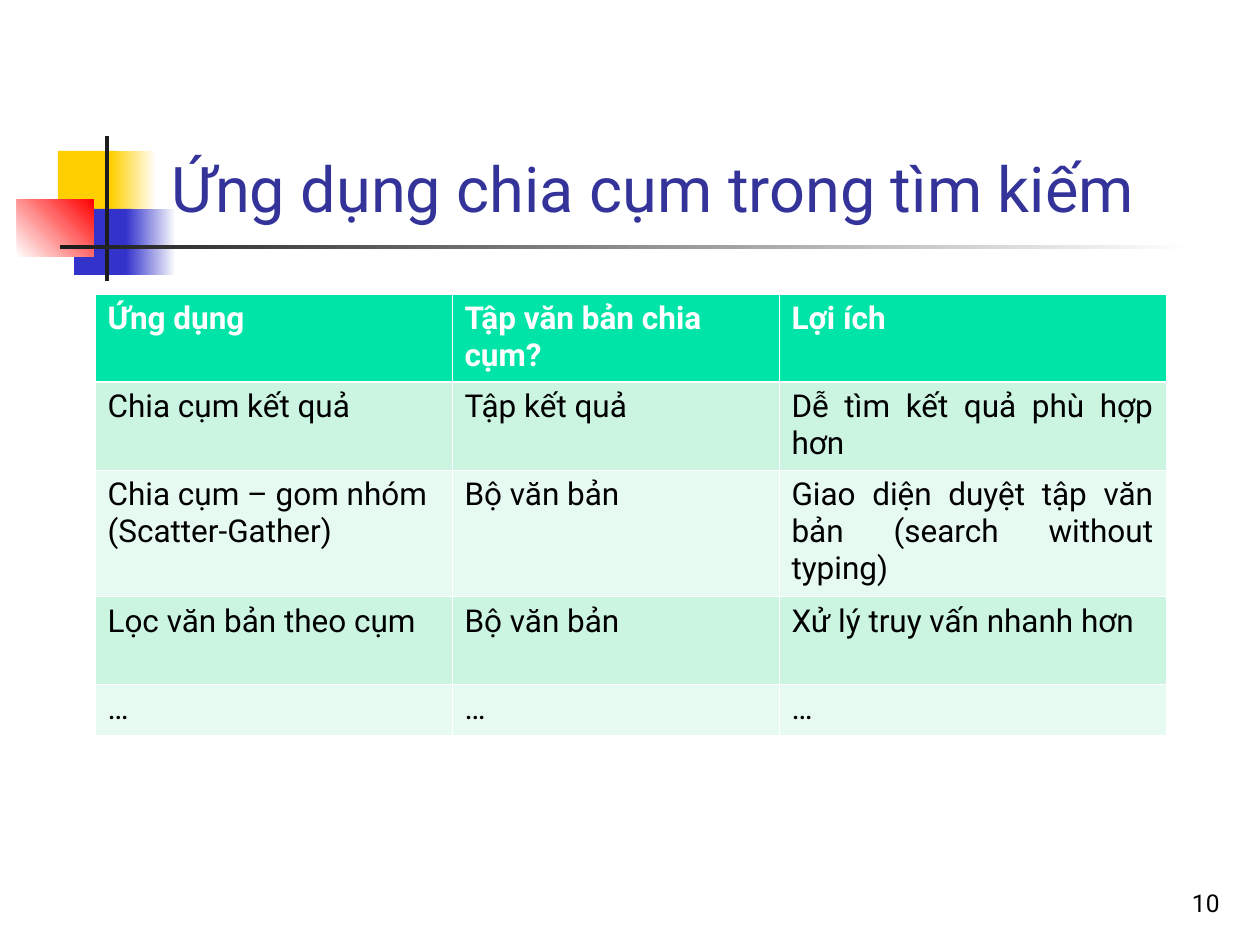
"""Build the slide on applications of clustering in search."""
from dataclasses import dataclass

from lxml import etree
from pptx import Presentation
from pptx.dml.color import RGBColor
from pptx.enum.shapes import MSO_SHAPE
from pptx.enum.text import MSO_ANCHOR, PP_ALIGN
from pptx.oxml.ns import qn
from pptx.util import Emu, Pt

RECTANGLE = MSO_SHAPE.RECTANGLE
BOTTOM = MSO_ANCHOR.BOTTOM
LEFT, RIGHT, JUSTIFY = PP_ALIGN.LEFT, PP_ALIGN.RIGHT, PP_ALIGN.JUSTIFY
PX = 914400 // 126


@dataclass(frozen=True)
class Theme:
    font: str = "Roboto"
    title_size: int = 36
    table_size: int = 18
    number_size: int = 14
    thin: float = 0.45
    thick: float = 1.47
    title: str = "333399"
    ink: str = "000000"
    white: str = "FFFFFF"
    yellow: str = "FFCF01"
    blue: str = "3333CC"
    red: str = "FF0000"
    rule: str = "1C1C1C"
    header: str = "00E4A8"
    bands: tuple = ("CBF5E1", "E7FAF1")


class SlideBuilder:
    def __init__(self, page, theme):
        self.page = page
        self.theme = theme

    def place(self, *lengths):
        return [Emu(length * PX) for length in lengths]

    def block(self, left, top, width, height, *colors, angle=0):
        shape = self.page.shapes.add_shape(RECTANGLE, *self.place(left, top, width, height))
        shape.shadow.inherit = False
        shape.line.fill.background()
        if len(colors) == 1:
            shape.fill.solid()
            shape.fill.fore_color.rgb = RGBColor.from_string(colors[0])
            return
        shape.fill.gradient()
        shape.fill.gradient_angle = angle
        for stop, color in zip(shape.fill.gradient_stops, colors):
            stop.color.rgb = RGBColor.from_string(color)

    def set_text(self, frame, words, size, color, align=LEFT, bold=False):
        frame.text = words
        frame.word_wrap = True
        for para in frame.paragraphs:
            para.alignment = align
            for span in para.runs:
                span.font.name = self.theme.font
                span.font.size = Pt(size)
                span.font.bold = bold
                span.font.color.rgb = RGBColor.from_string(color)

    def text(self, left, top, width, height, words, size, color, align=LEFT):
        box = self.page.shapes.add_textbox(*self.place(left, top, width, height))
        box.text_frame.vertical_anchor = BOTTOM
        self.set_text(box.text_frame, words, size, color, align)

    def border(self, cell, side, points):
        properties = cell._tc.get_or_add_tcPr()
        line = etree.SubElement(properties, qn(f"a:ln{side}"), w=str(int(Pt(points))))
        fill = etree.SubElement(line, qn("a:solidFill"))
        etree.SubElement(fill, qn("a:srgbClr"), val=self.theme.white)

    def table(self, left, top, widths, heights, rows, justified):
        theme = self.theme
        size = self.place(left, top, sum(widths), sum(heights))
        grid = self.page.shapes.add_table(len(rows), len(widths), *size).table
        for column, width in zip(grid.columns, widths):
            column.width = Emu(width * PX)
        for row, height in zip(grid.rows, heights):
            row.height = Emu(height * PX)
        for r, row in enumerate(rows):
            heading = r == 0
            fill = theme.header if heading else theme.bands[(r - 1) % 2]
            color = theme.white if heading else theme.ink
            thick_side = {0: "B", 1: "T"}.get(r)
            for c, words in enumerate(row):
                cell = grid.cell(r, c)
                for side in "LRTB":
                    self.border(cell, side, theme.thick if side == thick_side else theme.thin)
                cell.fill.solid()
                cell.fill.fore_color.rgb = RGBColor.from_string(fill)
                align = JUSTIFY if (r, c) in justified else LEFT
                self.set_text(cell.text_frame, words, theme.table_size, color, align, heading)


ROWS = [
    ("Ứng dụng", "Tập văn bản chia cụm?", "Lợi ích"),
    ("Chia cụm kết quả", "Tập kết quả", "Dễ tìm kết quả phù hợp hơn"),
    ("Chia cụm – gom nhóm (Scatter-Gather)", "Bộ văn bản",
     "Giao diện duyệt tập văn bản (search without typing)"),
    ("Lọc văn bản theo cụm", "Bộ văn bản", "Xử lý truy vấn nhanh hơn"),
    ("…", "…", "…"),
]


def main():
    deck = Presentation()
    deck.slide_width, deck.slide_height = Emu(1260 * PX), Emu(945 * PX)
    theme = Theme()
    slide = SlideBuilder(deck.slides.add_slide(deck.slide_layouts[6]), theme)

    slide.block(58, 151, 60, 66, theme.yellow)
    slide.block(111, 151, 45, 66, theme.yellow, theme.white)
    slide.block(74, 209, 58, 66, theme.blue)
    slide.block(126, 209, 50, 66, theme.blue, theme.white)
    slide.block(17, 199, 77, 58, theme.white, theme.red, angle=45)
    slide.block(105, 136, 4, 145, theme.rule)
    slide.block(60, 245, 1134, 4, theme.rule, theme.white)

    slide.text(159, 29, 1074, 202, "Ứng dụng chia cụm trong tìm kiếm",
               theme.title_size, theme.title)
    slide.text(970, 861, 262, 63, "10", theme.number_size, theme.ink, RIGHT)
    slide.table(95, 294, (357, 327, 387), (88, 88, 126, 88, 50), ROWS,
                justified={(1, 2), (2, 2)})
    deck.save("out.pptx")


if __name__ == "__main__":
    main()
